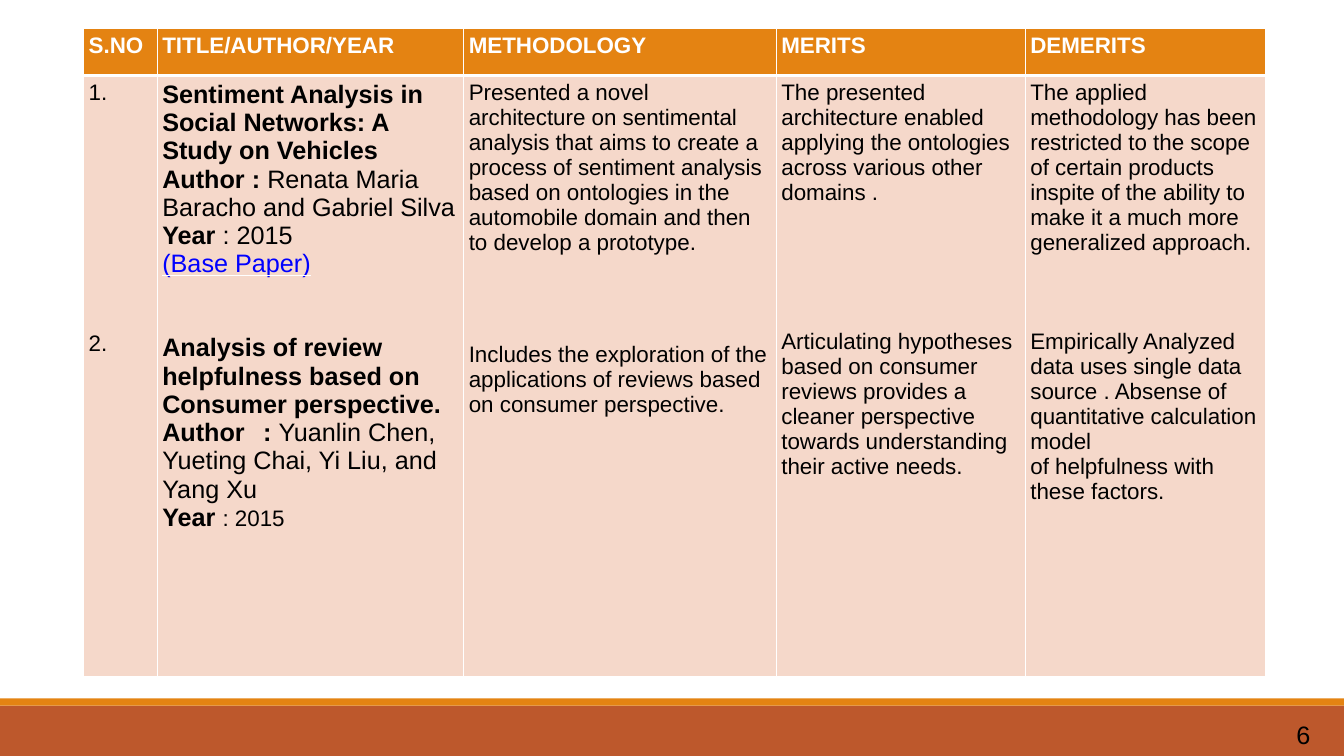
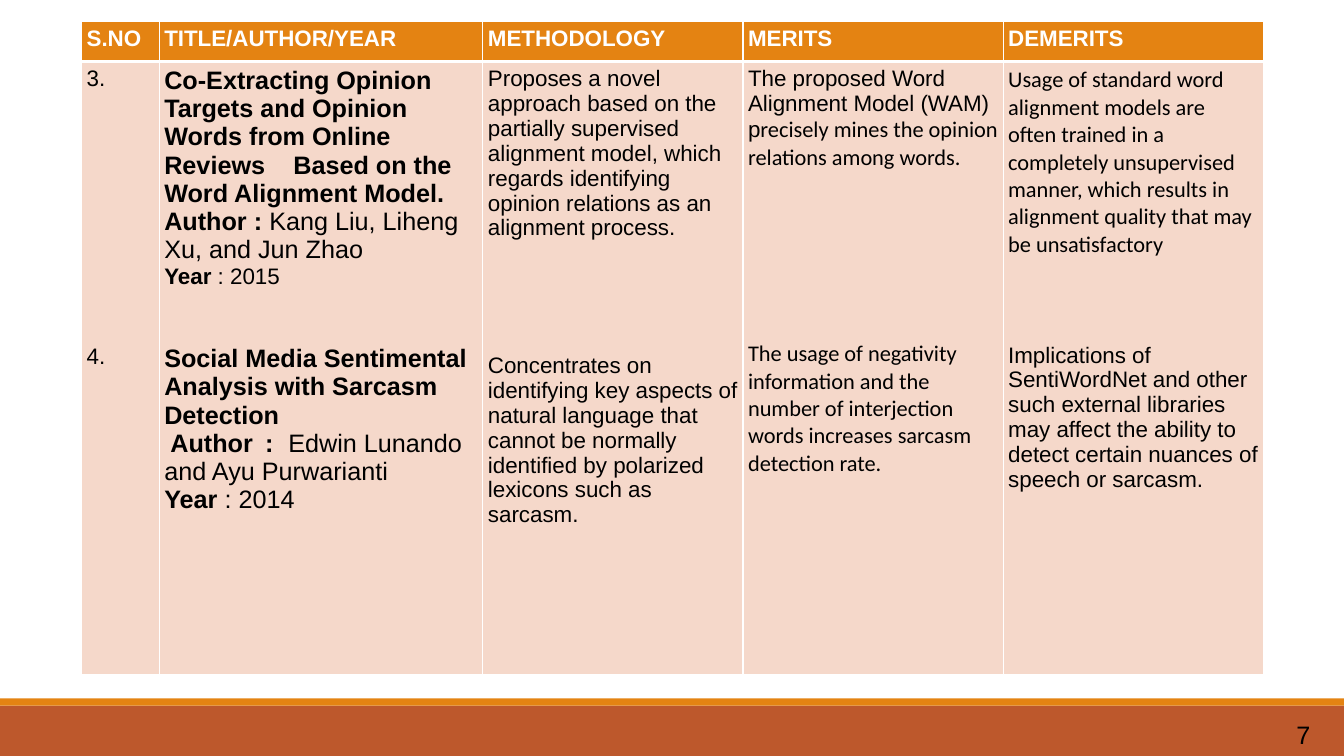
from dataclasses import dataclass, field

from lxml.etree import SubElement
from pptx import Presentation
from pptx.dml.color import RGBColor
from pptx.enum.shapes import MSO_SHAPE
from pptx.oxml import parse_xml
from pptx.oxml.ns import nsdecls, qn
from pptx.util import Inches, Pt


@dataclass(frozen=True)
class Theme:
    """Colours, line widths and text styles shared by the slides."""

    rust: str = "BD582C"
    orange: str = "E48312"
    peach: str = "F5D8CA"
    white: str = "FFFFFF"
    thin: float = 0.96
    thick: float = 3
    styles: dict = field(default_factory=lambda: {
        "header": ("FFFFFF", {"name": "Arial", "size": Pt(16), "bold": True}),
        "body": ("000000", {"name": "Arial", "size": Pt(16), "bold": False}),
        "strong": ("000000", {"name": "Arial", "size": Pt(16), "bold": True}),
        "calibri": ("000000", {"name": "Calibri", "size": Pt(16), "bold": False}),
        "label": ("000000", {"name": "Arial", "size": Pt(18), "bold": True}),
        "detail": ("000000", {"name": "Arial", "size": Pt(18), "bold": False}),
        "reference": ("0000FF", {"name": "Arial", "size": Pt(18), "bold": False,
                                 "underline": True}),
    })


@dataclass
class Entry:
    """One paragraph: its styled runs, the gap above in points, its tab stops."""

    runs: list
    gap: float = 0
    tabs: tuple = ()


def entry(text, style="body", gap=0, tabs=()):
    """Return a paragraph of a single style."""
    return Entry([(text, style)], gap, tabs)


def labelled(label, detail, detail_style="detail", label_style="label", tabs=()):
    """Return a paragraph with a bold label and a plain detail."""
    return Entry([(label, label_style), (detail, detail_style)], tabs=tabs)


class SurveyDeck:
    """Draws literature survey slides in one style."""

    headings = ("S.NO", "TITLE/AUTHOR/YEAR", "METHODOLOGY", "MERITS", "DEMERITS")

    def __init__(self, theme):
        """Open a widescreen presentation."""
        self.theme = theme
        self.presentation = Presentation()
        self.presentation.slide_width = Inches(13.33)
        self.presentation.slide_height = Inches(7.5)
        self.slide = None

    def add_slide(self, number):
        """Start a slide with the footer bands and its number."""
        layout = self.presentation.slide_layouts[6]
        self.slide = self.presentation.slides.add_slide(layout)
        self.add_band(7, 0.5, self.theme.rust)
        self.add_band(6.93, 0.07, self.theme.orange)
        self.add_number(number)

    def add_band(self, top, height, color):
        """Draw a full-width band."""
        shape = self.slide.shapes.add_shape(
            MSO_SHAPE.RECTANGLE, 0, Inches(top),
            self.presentation.slide_width, Inches(height))
        shape.shadow.inherit = False
        shape.fill.solid()
        shape.fill.fore_color.rgb = RGBColor.from_string(color)
        shape.line.fill.background()

    def add_number(self, number):
        """Put the slide number in the footer."""
        box = self.slide.shapes.add_textbox(
            Inches(12.76), Inches(7.09), Inches(0.5), Inches(0.4))
        box.text_frame.word_wrap = True
        self.add_entries(box.text_frame, [entry(str(number), "detail")])

    def add_entries(self, frame, entries):
        """Fill a text frame with paragraphs."""
        for index, item in enumerate(entries):
            paragraph = frame.add_paragraph() if index else frame.paragraphs[0]
            if item.tabs:
                properties = paragraph._p.get_or_add_pPr()
                stops = SubElement(properties, qn("a:tabLst"))
                for stop in item.tabs:
                    SubElement(stops, qn("a:tab"), pos=str(Inches(stop)), algn="l")
            if item.gap:
                paragraph.space_before = Pt(item.gap)
            for text, style in item.runs:
                self.add_run(paragraph, text, style)

    def add_run(self, paragraph, text, style):
        """Add text in one of the theme's styles."""
        run = paragraph.add_run()
        run.text = text
        color, formats = self.theme.styles[style]
        for name, value in formats.items():
            setattr(run.font, name, value)
        run.font.color.rgb = RGBColor.from_string(color)
        if "underline" in formats:
            underline = parse_xml(
                f'<a:uFill {nsdecls("a")}><a:solidFill>'
                f'<a:srgbClr val="{self.theme.white}"/></a:solidFill></a:uFill>')
            run._r.get_or_add_rPr().find(qn("a:latin")).addprevious(underline)

    def style_cell(self, cell, color, thick_side):
        """Set margins, white borders and fill of a cell."""
        for side in ("left", "right", "top", "bottom"):
            setattr(cell, f"margin_{side}", Inches(0.05))
        properties = cell._tc.get_or_add_tcPr()
        for side in "LRTB":
            width = self.theme.thick if side == thick_side else self.theme.thin
            border = SubElement(properties, qn(f"a:ln{side}"), w=str(Pt(width)))
            solid = SubElement(border, qn("a:solidFill"))
            SubElement(solid, qn("a:srgbClr"), val=self.theme.white)
        cell.fill.solid()
        cell.fill.fore_color.rgb = RGBColor.from_string(color)

    def add_table(self, left, top, widths, heights, contents):
        """Draw a survey table with a heading row and one body row."""
        table = self.slide.shapes.add_table(
            2, len(widths), Inches(left), Inches(top),
            Inches(sum(widths)), Inches(sum(heights))).table
        table.horz_banding = False
        for row, height in zip(table.rows, heights):
            row.height = Inches(height)
        for index, (width, heading, entries) in enumerate(
                zip(widths, self.headings, contents)):
            table.columns[index].width = Inches(width)
            header, body = table.cell(0, index), table.cell(1, index)
            self.style_cell(header, self.theme.orange, "B")
            self.style_cell(body, self.theme.peach, "T")
            self.add_entries(header.text_frame, [entry(heading, "header")])
            self.add_entries(body.text_frame, entries)


SURVEYS = (
    {
        "number": 6,
        "left": 0.83, "top": 0.28,
        "widths": (0.73, 3.04, 3.1, 2.47, 2.38),
        "heights": (0.47, 5.96),
        "contents": (
            [entry("1."), entry("2.", gap=161)],
            [
                entry("Sentiment Analysis in Social Networks: A Study on Vehicles",
                      "label"),
                labelled("Author : ", "Renata Maria Baracho and Gabriel Silva"),
                labelled("Year", " : 2015"),
                entry("(Base Paper)", "reference"),
                entry("Analysis of review helpfulness based on Consumer perspective.",
                      "label", gap=40),
                labelled("Author\t: ", "Yuanlin Chen, Yueting Chai, Yi Liu, and Yang Xu",
                         tabs=(1,)),
                labelled("Year ", ": 2015", "body"),
            ],
            [
                entry("Presented a novel architecture on sentimental analysis that aims "
                      "to create a process of sentiment analysis based on ontologies in "
                      "the automobile domain and then to develop a prototype."),
                entry("Includes the exploration of the applications of reviews based on "
                      "consumer perspective.", gap=62.5),
            ],
            [
                entry("The presented architecture enabled applying the ontologies across "
                      "various other domains ."),
                entry("Articulating hypotheses based on consumer reviews provides a "
                      "cleaner perspective towards understanding their active needs.",
                      gap=89),
            ],
            [
                entry("The applied methodology has been restricted to the scope of "
                      "certain products inspite of the ability to make it a much more "
                      "generalized approach."),
                entry("Empirically Analyzed data uses single data source . Absense of "
                      "quantitative calculation model", gap=53.5),
                entry("of helpfulness with these factors."),
            ],
        ),
    },
    {
        "number": 7,
        "left": 0.81, "top": 0.21,
        "widths": (0.77, 3.21, 2.58, 2.58, 2.58),
        "heights": (0.4, 6.08),
        "contents": (
            [entry("3."), entry("4.", gap=181)],
            [
                entry("Co-Extracting Opinion Targets and Opinion Words from Online "
                      "Reviews\tBased on the Word Alignment Model.", "label",
                      tabs=(1.28,)),
                labelled("Author : ", "Kang Liu, Liheng Xu, and Jun Zhao"),
                labelled("Year", " : 2015", "body", "strong"),
                entry("Social Media Sentimental Analysis with Sarcasm Detection",
                      "label", gap=40),
                labelled(" Author\t:\t", "Edwin Lunando and Ayu Purwarianti",
                         tabs=(1, 1.23)),
                labelled("Year", " : 2014"),
            ],
            [
                entry("Proposes a novel approach based on the partially supervised "
                      "alignment model, which regards identifying opinion relations as "
                      "an alignment process."),
                entry("Concentrates on identifying key aspects of natural language that "
                      "cannot be normally identified by polarized lexicons such as "
                      "sarcasm.", gap=80.5),
            ],
            [
                labelled("The proposed Word Alignment Model (WAM) p",
                         "recisely mines the opinion relations among words.",
                         "calibri", "body"),
                entry("The usage of negativity information and the number of "
                      "interjection words increases sarcasm detection rate.",
                      "calibri", gap=121),
            ],
            [
                entry("Usage of standard word alignment models are often trained in a "
                      "completely unsupervised manner, which results in alignment "
                      "quality that may be unsatisfactory", "calibri"),
                entry("Implications of SentiWordNet and other such external libraries "
                      "may affect the ability to detect certain nuances of speech or "
                      "sarcasm.", gap=60.5),
            ],
        ),
    },
)


def main():
    """Build and save the survey slides."""
    deck = SurveyDeck(Theme())
    for survey in SURVEYS:
        deck.add_slide(survey["number"])
        deck.add_table(survey["left"], survey["top"], survey["widths"],
                       survey["heights"], survey["contents"])
    deck.presentation.save("out.pptx")


if __name__ == "__main__":
    main()
